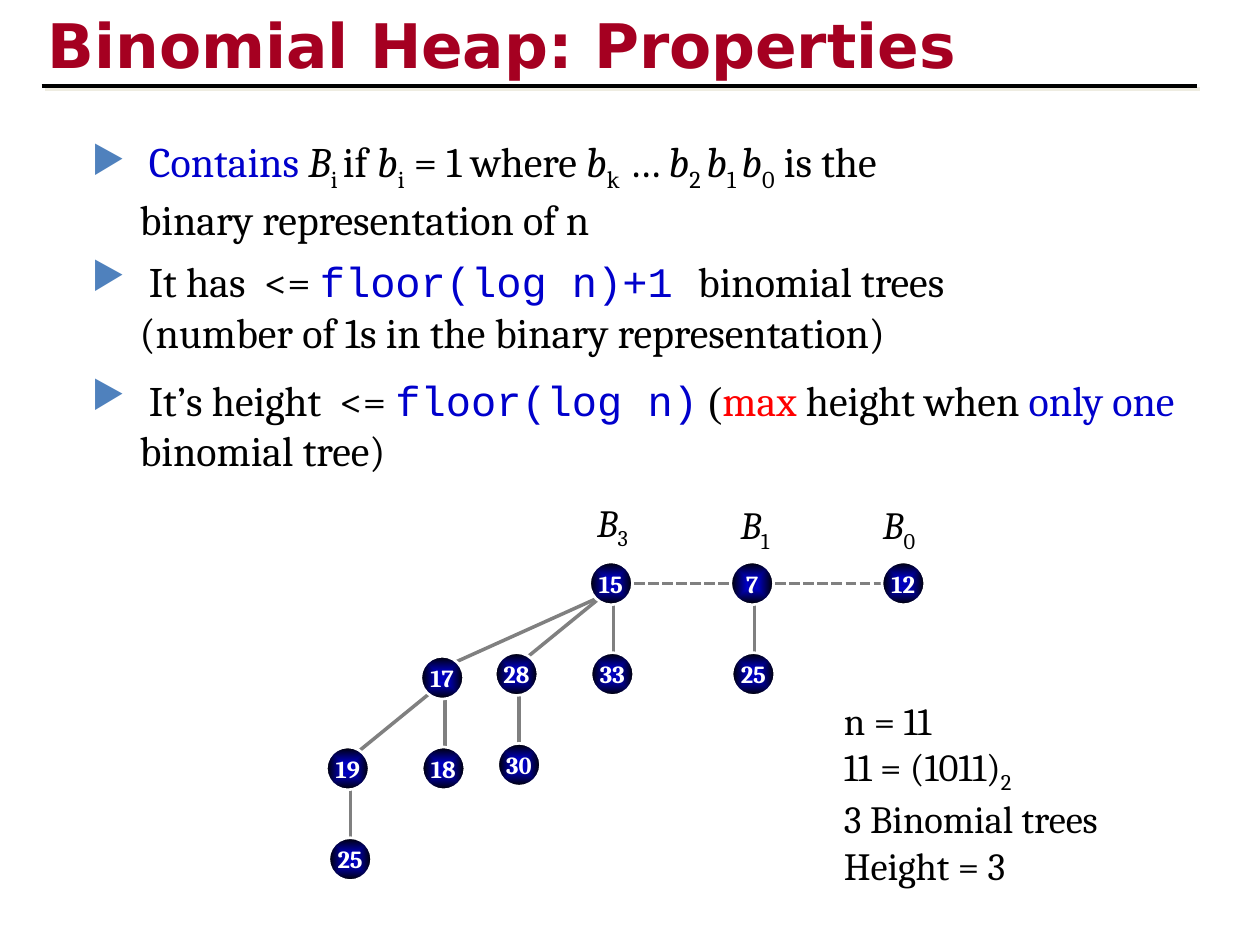
import pptx
import pptx.util
import pptx.dml.color
import pptx.enum.dml
import pptx.enum.shapes
import pptx.enum.text
import pptx.oxml
from pptx.oxml.ns import nsdecls, qn

WIDTH, HEIGHT = 10, 7.5
NODE, ROW = 0.34, 0.72
COLORS = {"title": "A50021", "text": "000000", "accent": "0000CC", "alert": "FF0000",
          "bullet": "4F81BD", "edge": "808080", "white": "FFFFFF", "shadow": "EEECE1"}
NODE_STOPS = [(0, "0000CC"), (6, "0000C0"), (10, "0000B7"), (16, "0000AB"),
              (21, "0000CC"), (100, "000000")]

# Each style: font, colour, italic, subscript
STYLES = {
    "plain": ("Cambria", "text", False, False),
    "var": ("Cambria", "text", True, False),
    "sub": ("Cambria", "text", False, True),
    "accent": ("Cambria", "accent", False, False),
    "alert": ("Cambria", "alert", False, False),
    "code": ("Courier New", "accent", False, False),
    "times": ("Times New Roman", "text", False, False),
}

# Box, right inset and runs of each bullet
BULLETS = [
    ((0.63, 1.03, 7.44, 0.67), 0.3, [
        (" ", "plain"), ("Contains ", "accent"), ("B", "var"), ("i ", "sub"), ("if ", "plain"),
        ("b", "var"), ("i", "sub"), (" = 1 where ", "plain"), ("b", "var"), ("k", "sub"),
        (" … ", "plain"), ("b", "var"), ("2 ", "sub"), ("b", "var"), ("1 ", "sub"),
        ("b", "var"), ("0", "sub"), (" is the binary representation of n", "plain")]),
    ((0.63, 1.98, 8.43, 0.67), 0.3, [
        (" It has  <= ", "plain"), ("floor(log n)+1 ", "code"),
        ("binomial trees (number of 1s in the binary representation)", "plain")]),
    ((0.63, 2.92, 8.87, 0.67), 0.1, [
        (" It’s height  <= ", "plain"), ("floor(log n)", "code"), (" (", "times"),
        ("max", "alert"), (" height when ", "plain"), ("only one", "accent"),
        (" binomial tree)", "plain")]),
]

# Each tree node: value, left offset, row, children
TREES = [
    (15, 2.09, 0, [
        (17, 0.75, 1.04, [
            (19, 0, 2.04, [(25, 0.02, 3.04, [])]),
            (18, 0.76, 2.04, [])]),
        (28, 1.34, 1, [(30, 1.36, 2, [])]),
        (33, 2.1, 1, [])]),
    (7, 3.21, 0, [(25, 3.22, 1, [])]),
    (12, 4.41, 0, []),
]
TREE_LABELS = [("3", 2.05, -0.55), ("1", 3.19, -0.53), ("0", 4.32, -0.53)]

SUMMARY = [
    [("n = 11", "plain")],
    [("11 = (1011)", "plain"), ("2", "sub")],
    [("3 Binomial trees", "plain")],
    [("Height = 3", "plain")],
]


def inches(*values):
    return [pptx.util.Inches(v) for v in values]


def rgb(name):
    return pptx.dml.color.RGBColor.from_string(COLORS[name])


def effects(shadow=False):
    content = (f'<a:outerShdw dist="35560" dir="2700000" algn="ctr" rotWithShape="0">'
               f'<a:srgbClr val="{COLORS["shadow"]}"/></a:outerShdw>') if shadow else ""
    return pptx.oxml.parse_xml(f'<a:effectLst {nsdecls("a")}>{content}</a:effectLst>')


def add_line(s, start, end, color="edge", width=2, dashed=False, shadow=False):
    line = s.shapes.add_connector(pptx.enum.shapes.MSO_CONNECTOR.STRAIGHT,
                                  *inches(*start, *end))
    line.line.color.rgb = rgb(color)
    line.line.width = pptx.util.Pt(width)
    if dashed:
        line.line.dash_style = pptx.enum.dml.MSO_LINE.SQUARE_DOT
        line.line._ln.find(qn("a:prstDash")).set("val", "sysDash")
    line._element.spPr.append(effects(shadow))


def add_runs(p, runs, size):
    for text, style in runs:
        font_name, color, italic, subscript = STYLES[style]
        r = p.add_run()
        r.text = text
        r.font.name, r.font.size = font_name, pptx.util.Pt(size)
        r.font.color.rgb = rgb(color)
        r.font.italic = italic
        if subscript:
            r.font._element.set("baseline", "-25000")


def add_text(s, box, paragraphs, size):
    tf = s.shapes.add_textbox(*inches(*box)).text_frame
    tf.word_wrap = True
    for i, runs in enumerate(paragraphs):
        p = tf.add_paragraph() if i else tf.paragraphs[0]
        add_runs(p, runs, size)
    return tf


def add_title(s, box):
    title = s.shapes.title
    title.left, title.top, title.width, title.height = inches(*box)
    tf = title.text_frame
    tf.text = "Binomial Heap: Properties"
    tf.vertical_anchor = pptx.enum.text.MSO_ANCHOR.MIDDLE
    tf.auto_size = pptx.enum.text.MSO_AUTO_SIZE.NONE
    p = tf.paragraphs[0]
    p.alignment = pptx.enum.text.PP_ALIGN.LEFT
    font = p.runs[0].font
    font.name, font.size, font.bold = "DejaVu Sans", pptx.util.Pt(35.1), True
    font.color.rgb = rgb("title")
    font._element.find(qn("a:latin")).addprevious(effects(shadow=True))
    bottom = box[1] + box[3]
    add_line(s, (0.33, bottom), (WIDTH - 0.5, bottom), "text", 2.25, shadow=True)


def add_bullet(s, box, right_inset, runs):
    tf = add_text(s, box, [runs], 24)
    tf.margin_right = pptx.util.Inches(right_inset)
    p = tf.paragraphs[0]
    p.space_before = pptx.util.Pt(6)
    pPr = p._p.get_or_add_pPr()
    indent = pptx.util.Inches(0.38)
    pPr.set("marL", str(indent))
    pPr.set("indent", str(-indent))
    for xml in (f'<a:buClr {nsdecls("a")}><a:srgbClr val="{COLORS["bullet"]}"/></a:buClr>',
                f'<a:buSzPct {nsdecls("a")} val="90000"/>',
                f'<a:buChar {nsdecls("a")} char="▶"/>'):
        pPr.append(pptx.oxml.parse_xml(xml))


def add_node(s, x, y, value):
    sp = s.shapes.add_shape(pptx.enum.shapes.MSO_SHAPE.OVAL, *inches(x, y, NODE, NODE))
    sp.shadow.inherit = False
    sp.line.color.rgb = rgb("white")
    sp.line.width = pptx.util.Pt(1.5)
    stops = "".join(f'<a:gs pos="{pos * 1000}"><a:srgbClr val="{color}"/></a:gs>'
                    for pos, color in NODE_STOPS)
    sp._element.spPr.find(qn("a:prstGeom")).addnext(pptx.oxml.parse_xml(
        f'<a:gradFill {nsdecls("a")} rotWithShape="1"><a:gsLst>{stops}</a:gsLst>'
        '<a:path path="shape"><a:fillToRect l="50000" t="50000" r="50000" b="50000"/>'
        '</a:path></a:gradFill>'))
    tf = sp.text_frame
    tf.text = str(value)
    tf.word_wrap = False
    tf.vertical_anchor = pptx.enum.text.MSO_ANCHOR.MIDDLE
    p = tf.paragraphs[0]
    p.alignment = pptx.enum.text.PP_ALIGN.CENTER
    font = p.runs[0].font
    font.name, font.size, font.bold = "Cambria", pptx.util.Pt(14), True
    font.color.rgb = rgb("white")


def add_tree(s, left, top, tree):
    """Draw the edges and subtrees first, so that the root covers their ends."""
    value, dx, row, children = tree
    x, y = left + dx, top + row * ROW
    for child in children:
        child_x, child_y = left + child[1], top + child[2] * ROW
        if child_x >= x:
            add_line(s, (x + 0.19, y + NODE), (x + 0.19, child_y + 0.11))
        else:
            add_line(s, (child_x + 0.2, child_y + 0.08), (x + 0.1, y + 0.27))
        add_tree(s, left, top, child)
    add_node(s, x, y, value)


def add_heap(s, left, top):
    for tree, following in zip(TREES, TREES[1:]):
        add_line(s, (left + tree[1] + 0.24, top + NODE / 2),
                 (left + following[1] + 0.13, top + NODE / 2), dashed=True)
    for tree in TREES:
        add_tree(s, left, top, tree)
    for order, dx, dy in TREE_LABELS:
        add_text(s, (left + dx, top + dy, 0.57, 0.47), [[("B", "var"), (order, "sub")]], 22)


def main():
    prs = pptx.Presentation()
    prs.slide_width, prs.slide_height = inches(WIDTH, HEIGHT)
    s = prs.slides.add_slide(prs.slide_layouts[5])
    add_title(s, (0.28, 0.01, 8.5, 0.67))
    for box, right_inset, runs in BULLETS:
        add_bullet(s, box, right_inset, runs)
    add_heap(s, 2.59, 4.46)
    add_text(s, (6.6, 5.48, 2.7, 1.83), SUMMARY, 22)
    prs.save("out.pptx")


if __name__ == "__main__":
    main()
